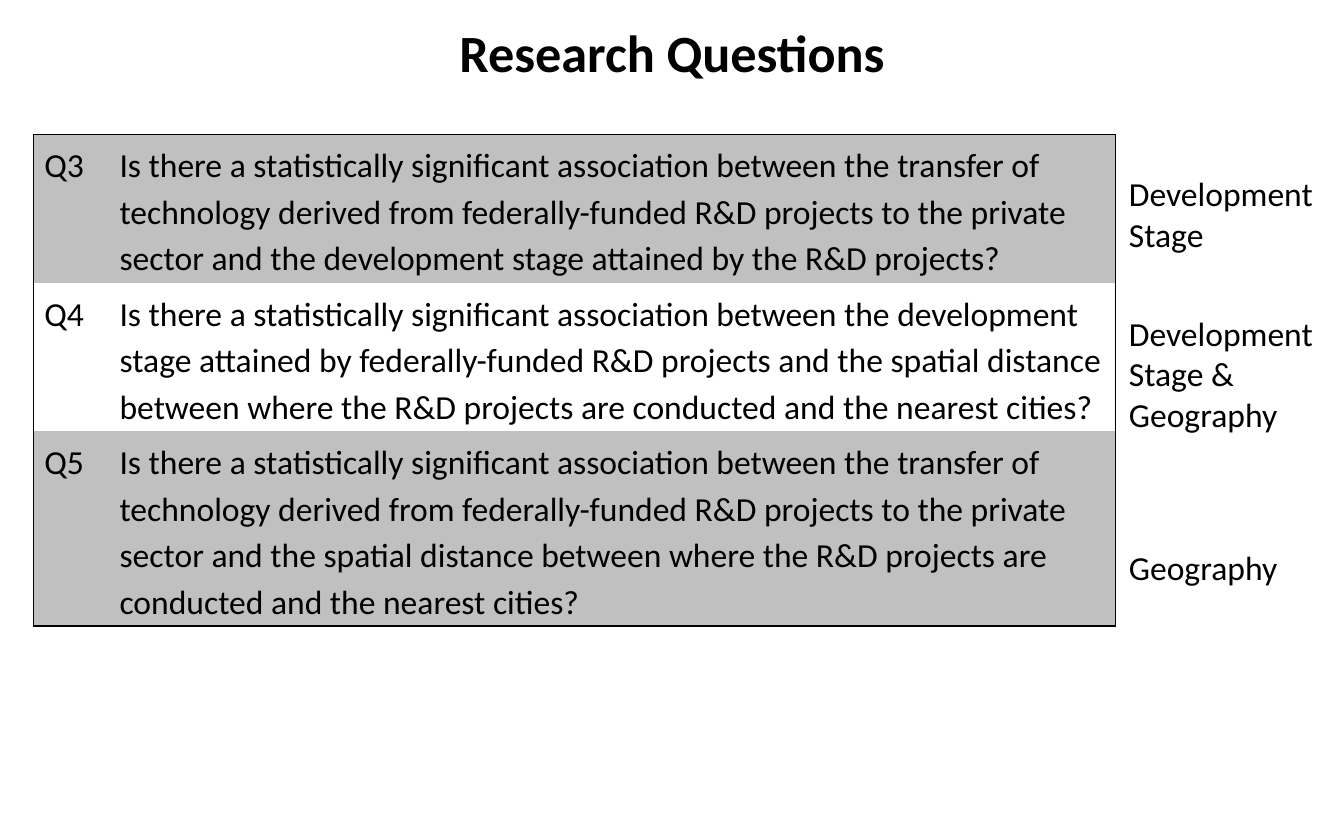
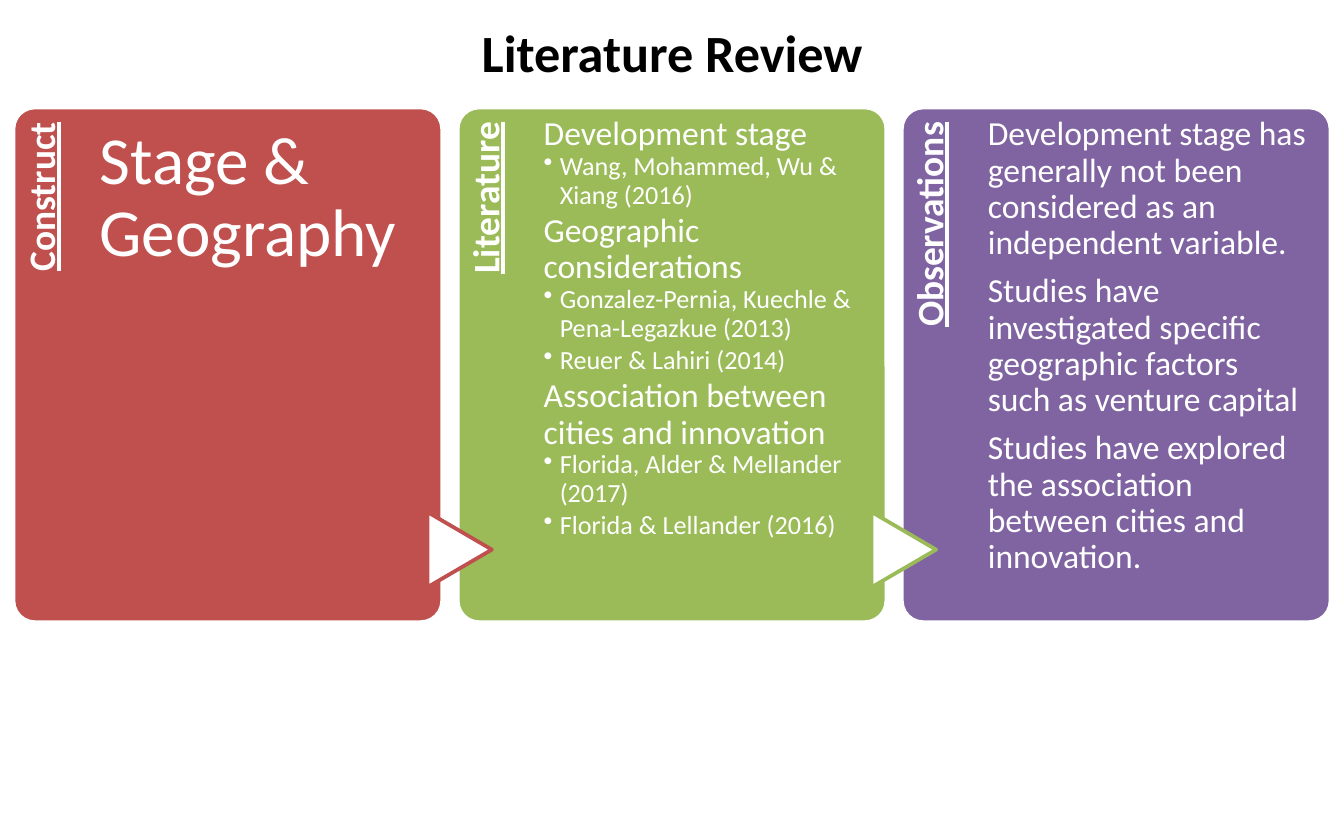
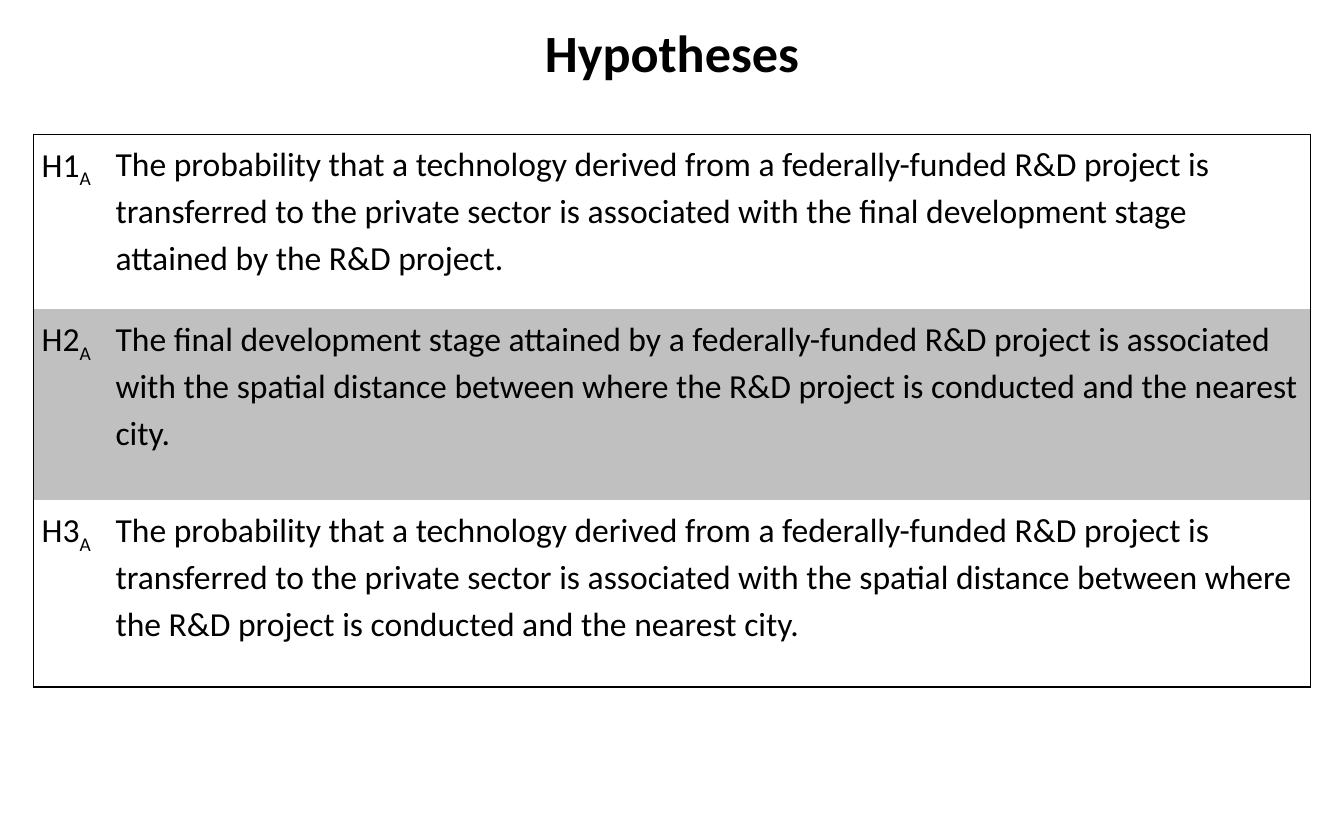
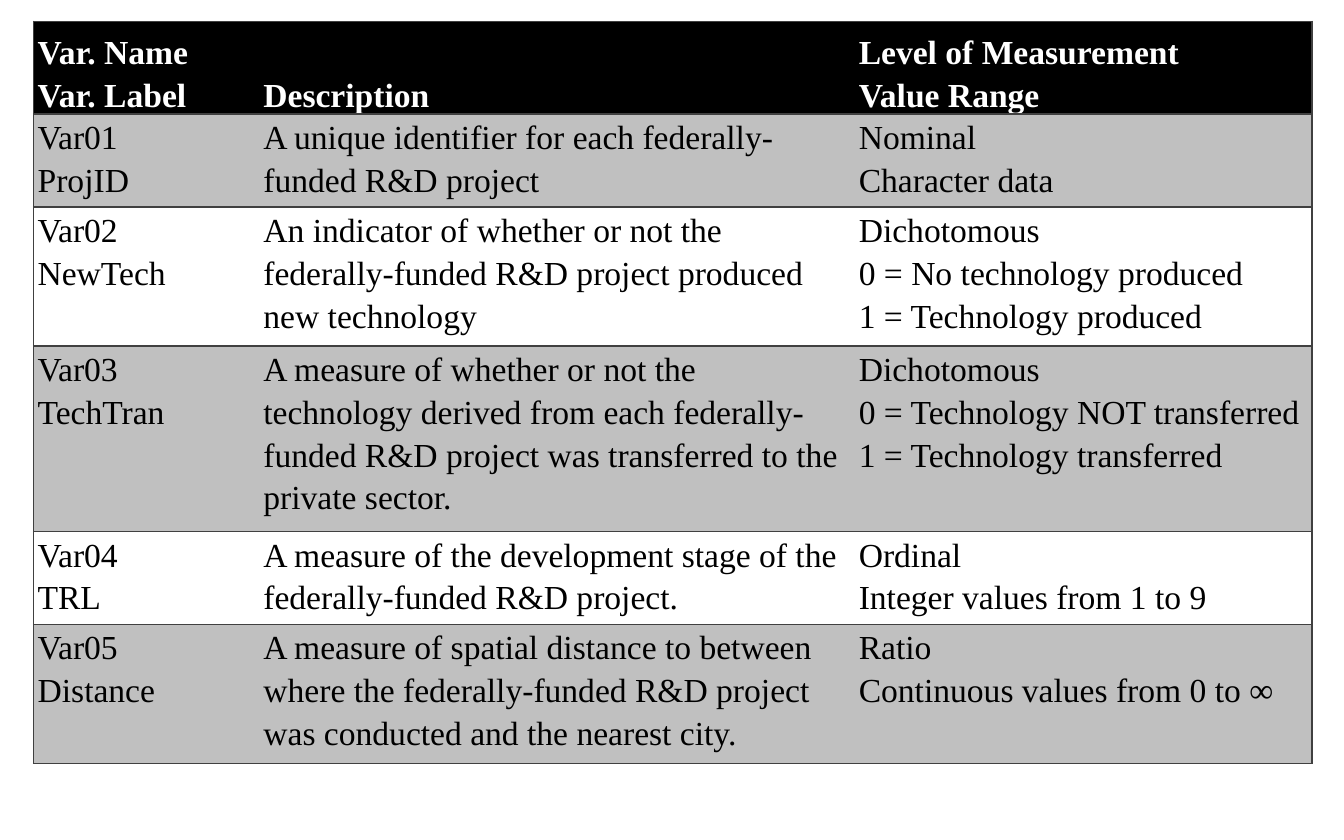
from lxml import etree
from pptx import Presentation
from pptx.dml.color import RGBColor
from pptx.enum.shapes import MSO_SHAPE as Shape
from pptx.enum.text import MSO_ANCHOR as Anchor, MSO_AUTO_SIZE as AutoSize, PP_ALIGN as Align
from pptx.oxml.ns import qn
from pptx.util import Inches, Pt

# Shared sizes, colours and text styles
WIDE, HIGH = 10, 6.25
MARGIN = WIDE / 40
BLACK, WHITE, GREY, RULE = "000000", "FFFFFF", "C0C0C0", "404040"
BULLET_SIZE, BULLET_INDENT = 14, 0.12
PLAIN_TABLE = "{2D5ABB26-0587-4C30-8999-92F81FD0307C}"
BODY = {"name": "Calibri", "size": 18}
TITLE = BODY | {"size": 28, "bold": True}
LABEL = BODY | {"size": 20, "bold": True, "underline": True}
SERIF = BODY | {"name": "Times New Roman"}


def colour(hex_code):
    return RGBColor.from_string(hex_code)


def write(holder, lines, font, ink=BLACK, margins=(0.1, 0.05, 0.1, 0.05), after=0, **layout):
    """Fill a box or a cell; "• " starts a bullet and "_" a subscript."""
    frame = holder.text_frame
    padded = holder if hasattr(holder, "margin_left") else frame
    for side, inset in zip(("left", "top", "right", "bottom"), margins):
        setattr(padded, f"margin_{side}", Inches(inset))
    if padded is frame:
        frame.word_wrap = True
    for number, line in enumerate(lines):
        para = frame.add_paragraph() if number else frame.paragraphs[0]
        bullet = line.startswith("• ")
        size = BULLET_SIZE if bullet else font["size"]
        share = 0.15 if bullet else after
        for key, value in (layout | {"space_after": Pt(size * share)}).items():
            setattr(para, key, value)
        if bullet:
            para.level = 1
            props = para._p.get_or_add_pPr()
            props.set("marL", str(Inches(BULLET_INDENT)))
            props.set("indent", str(-Inches(BULLET_INDENT)))
            etree.SubElement(props, qn("a:buChar"), char="•")
        for part, words in enumerate(line.removeprefix("• ").split("_")):
            span = para.add_run()
            span.text = words
            for key, value in (font | {"size": Pt(size)}).items():
                setattr(span.font, key, value)
            span.font.color.rgb = colour(ink)
            if part:
                span.font._element.set("baseline", "-25000")


# Deck and pages
deck = Presentation()
deck.slide_width, deck.slide_height = Inches(WIDE), Inches(HIGH)
pages = [deck.slides.add_slide(deck.slide_layouts[6]) for _ in range(4)]
questions_page, review_page, hypotheses_page, variables_page = pages

# Titles
for page, title in zip(pages, ("Research Questions", "Literature Review", "Hypotheses")):
    box = page.shapes.add_textbox(0, Inches(0.1), Inches(WIDE), Inches(0.57))
    write(box, [title], TITLE, alignment=Align.CENTER)
    box.text_frame.auto_size = AutoSize.SHAPE_TO_FIT_TEXT

# Table contents: each cell is a list of lines
questions = [
    [["Q3"], ["Is there a statistically significant association between the transfer of "
              "technology derived from federally-funded R&D projects to the private sector "
              "and the development stage attained by the R&D projects?"]],
    [["Q4"], ["Is there a statistically significant association between the development "
              "stage attained by federally-funded R&D projects and the spatial distance "
              "between where the R&D projects are conducted and the nearest cities?"]],
    [["Q5"], ["Is there a statistically significant association between the transfer of "
              "technology derived from federally-funded R&D projects to the private sector "
              "and the spatial distance between where the R&D projects are conducted and "
              "the nearest cities?"]],
]
hypotheses = [
    [["H1_A"], ["The probability that a technology derived from a federally-funded R&D "
                "project is transferred to the private sector is associated with the final "
                "development stage attained by the R&D project."]],
    [["H2_A"], ["The final development stage attained by a federally-funded R&D project is "
                "associated with the spatial distance between where the R&D project is "
                "conducted and the nearest city."]],
    [["H3_A"], ["The probability that a technology derived from a federally-funded R&D "
                "project is transferred to the private sector is associated with the spatial "
                "distance between where the R&D project is conducted and the nearest city."]],
]
variables = [
    [["Var. Name", "Var. Label"], ["Description"], ["Level of Measurement", "Value Range"]],
    [["Var01", "ProjID"],
     ["A unique identifier for each federally-funded R&D project"],
     ["Nominal", "Character data"]],
    [["Var02", "NewTech"],
     ["An indicator of whether or not the federally-funded R&D project produced new technology"],
     ["Dichotomous", "0 = No technology produced", "1 = Technology produced"]],
    [["Var03", "TechTran"],
     ["A measure of whether or not the technology derived from each federally-funded R&D "
      "project was transferred to the private sector."],
     ["Dichotomous", "0 = Technology NOT transferred", "1 = Technology transferred"]],
    [["Var04", "TRL"],
     ["A measure of the development stage of the federally-funded R&D project."],
     ["Ordinal", "Integer values from 1 to 9"]],
    [["Var05", "Distance"],
     ["A measure of spatial distance to between where the federally-funded R&D project was "
      "conducted and the nearest city."],
     ["Ratio", "Continuous values from 0 to ∞"]],
]

# Tables: page, rows, top, height, column widths, row heights, fills, and text format
tables = [
    (questions_page, questions, 1, 4, (0.56, 7.49), (0.74, 0.98, 1.08),
     (GREY, None, GREY), BODY, (0.08, 0.04, 0.08, 0.04), 1.14, BLACK),
    (hypotheses_page, hypotheses, 1, 4.11, (0.55, 8.95), (1.3, 1.42, 1.39),
     (WHITE, GREY, WHITE), BODY, (0.06, 0.03, 0.06, 0.03), 1.15, BLACK),
    (variables_page, variables, 0.16, 5.52, (1.68, 4.43, 3.4),
     (0.62, 0.36, 0.77, 0.79, 0.44, 0.47),
     (BLACK, GREY, None, GREY, None, GREY), SERIF, (0.03, 0, 0.03, 0), 1.15, RULE),
]
for page, rows, top, height, widths, heights, fills, font, margins, spacing, rule in tables:
    holder = page.shapes.add_table(len(rows), len(widths), Inches(MARGIN), Inches(top),
                                   Inches(sum(widths)), Inches(height))
    table = holder.table
    table.first_row = table.horz_banding = False
    table._tbl.tblPr.find(qn("a:tableStyleId")).text = PLAIN_TABLE
    for column, width in zip(table.columns, widths):
        column.width = Inches(width)
    for row, row_height in zip(table.rows, heights):
        row.height = Inches(row_height)
    holder.height = Inches(height)

    ruled = page is variables_page
    for r, (cells, fill) in enumerate(zip(rows, fills)):
        header = fill == BLACK
        for c, lines in enumerate(cells):
            cell = table.cell(r, c)
            edges = {"L": c == 0, "R": c == len(widths) - 1,
                     "T": ruled or r == 0, "B": ruled or r == len(rows) - 1}
            for edge, shown in edges.items():
                if shown:
                    line = etree.SubElement(cell._tc.get_or_add_tcPr(), qn(f"a:ln{edge}"),
                                            w=str(Pt(1)))
                    paint = etree.SubElement(line, qn("a:solidFill"))
                    etree.SubElement(paint, qn("a:srgbClr"), val=rule)
            if fill:
                cell.fill.solid()
                cell.fill.fore_color.rgb = colour(fill)
            else:
                cell.fill.background()
            cell.vertical_anchor = Anchor.BOTTOM if header else Anchor.TOP
            write(cell, lines, font | {"bold": header}, WHITE if header else BLACK,
                  margins, line_spacing=spacing)

# Constructs beside the questions
for construct, top, height in (("Development Stage", 1.24, 0.71),
                               ("Development Stage & Geography", 2.28, 1.01),
                               ("Geography", 4.02, 0.4)):
    box = questions_page.shapes.add_textbox(Inches(8.4), Inches(top), Inches(1.5), Inches(height))
    write(box, [construct], BODY, margins=(0, 0.05, 0, 0.05))
    box.text_frame.auto_size = AutoSize.SHAPE_TO_FIT_TEXT

# Literature review: three panels, each pointing to the next
PANEL_LEFT, PANEL_TOP, PANEL_WIDE, PANEL_HIGH, PITCH = 0.1, 0.8, 3.19, 3.83, 3.305
panels = [
    ("Construct", "C0504D", 36, 0.14, 0.35, ["Stage & Geography"]),
    ("Literature", "9BBB59", 18, 0.07, 0, [
        "Development stage",
        "• Wang, Mohammed, Wu & Xiang (2016)",
        "Geographic considerations",
        "• Gonzalez-Pernia, Kuechle & Pena-Legazkue (2013)",
        "• Reuer & Lahiri (2014)",
        "Association between cities and innovation",
        "• Florida, Alder & Mellander (2017)",
        "• Florida & Lellander (2016)"]),
    ("Observations", "8064A2", 18, 0.07, 0.35, [
        "Development stage has generally not been considered as an independent variable.",
        "Studies have investigated specific geographic factors such as venture capital",
        "Studies have explored the association between cities and innovation."]),
]
shapes = review_page.shapes
for index, (label, fill, size, inset, after, lines) in enumerate(panels):
    left = PANEL_LEFT + index * PITCH
    panel = shapes.add_shape(Shape.ROUNDED_RECTANGLE, Inches(left), Inches(PANEL_TOP),
                             Inches(PANEL_WIDE), Inches(PANEL_HIGH))
    panel.adjustments[0] = 0.05
    outlined = [(panel, fill, WHITE)]

    tag = shapes.add_textbox(Inches(left - 1.25), Inches(2.06), Inches(3.14), Inches(0.64))
    tag.rotation = 270
    write(tag, [label], LABEL, WHITE, (0, 0.07, 0.1, 0), 0.35,
          alignment=Align.RIGHT, line_spacing=0.9)

    if index:
        arrow = shapes.add_shape(Shape.FLOWCHART_EXTRACT, Inches(left - 0.265), Inches(3.85),
                                 Inches(0.56), Inches(0.48))
        arrow.rotation = 90
        outlined.append((arrow, WHITE, panels[index - 1][1]))

    for shape, inside, outline in outlined:
        shape.shadow.inherit = False
        shape.fill.solid()
        shape.fill.fore_color.rgb = colour(inside)
        shape.line.color.rgb = colour(outline)
        shape.line.width = Pt(2)

    body = shapes.add_textbox(Inches(left + 0.64), Inches(PANEL_TOP),
                              Inches(2.38), Inches(PANEL_HIGH))
    write(body, lines, BODY | {"size": size}, WHITE, (0, inset, 0, 0), after, line_spacing=0.9)

deck.save("out.pptx")
